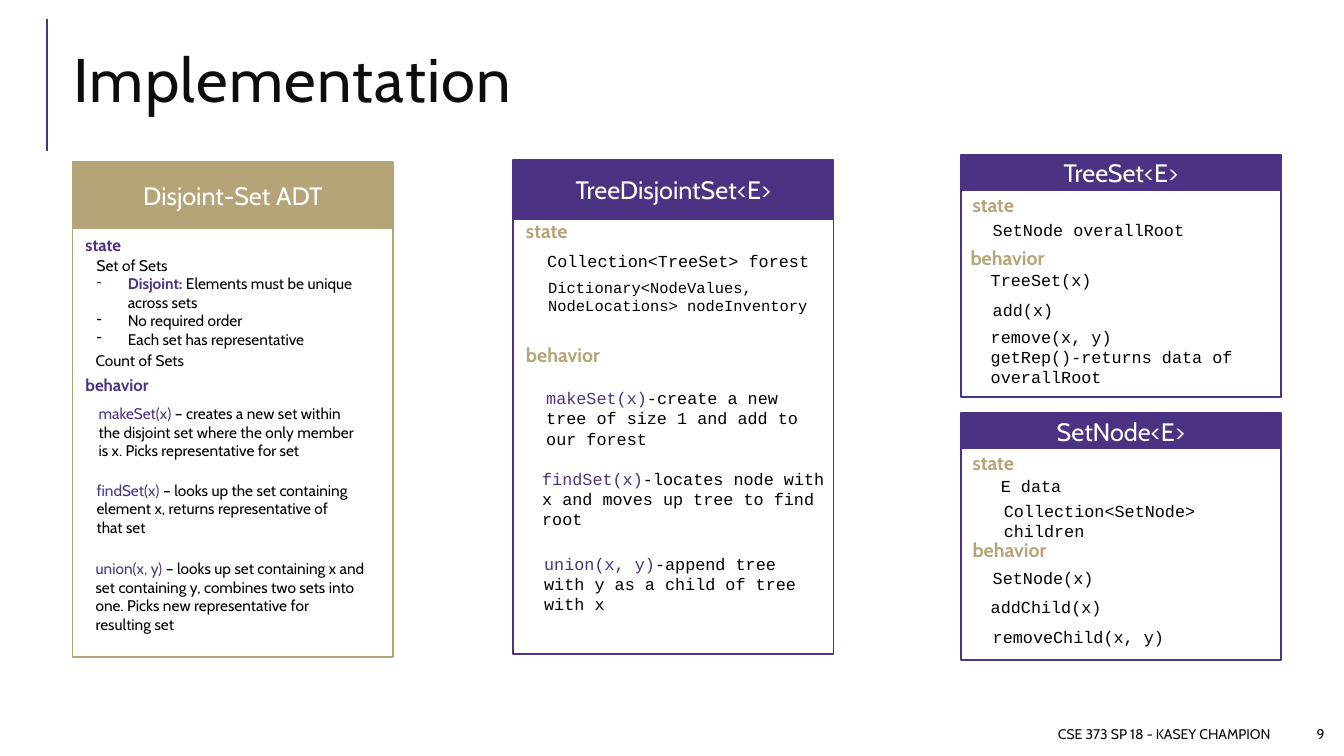
from lxml import etree
from pptx import Presentation
from pptx.dml.color import RGBColor
from pptx.enum.shapes import MSO_CONNECTOR, MSO_SHAPE
from pptx.enum.text import MSO_ANCHOR, MSO_AUTO_SIZE, PP_ALIGN
from pptx.oxml.ns import qn
from pptx.util import Inches, Pt

RECT, LINE = MSO_SHAPE.RECTANGLE, MSO_CONNECTOR.STRAIGHT
MIDDLE, TOP = MSO_ANCHOR.MIDDLE, MSO_ANCHOR.TOP
LEFT, CENTER, RIGHT = PP_ALIGN.LEFT, PP_ALIGN.CENTER, PP_ALIGN.RIGHT
GROW, FIXED = MSO_AUTO_SIZE.SHAPE_TO_FIT_TEXT, MSO_AUTO_SIZE.NONE

PURPLE = RGBColor(0x4C, 0x32, 0x82)
GOLD = RGBColor(0xB6, 0xA4, 0x79)
BLACK = RGBColor(0, 0, 0)
INK = RGBColor(0x0D, 0x0D, 0x0D)
WHITE = RGBColor(0xFF, 0xFF, 0xFF)
SANS, MONO = "Cabin", "Courier New"

# Square grid: ten cells to the inch, 133.33 columns by 75 rows
COLUMNS, ROWS = 133.33, 75
CARD_WIDTH = 31.8
LEFT_CARD, MIDDLE_CARD, RIGHT_CARD = 7.2, 50.9, 95.3


def grid(*cells):
    return [Inches(cell / 10) for cell in cells]


def box_height(lines, size):
    """Rows taken by lines of text plus the box's insets."""
    return 1 + lines * size * 0.17


def add_run(paragraph, text, size, color, font=SANS, bold=False):
    run = paragraph.add_run()
    run.text = text
    run.font.name, run.font.size, run.font.bold = font, Pt(size), bold
    run.font.color.rgb = color
    return run


def add_dash(paragraph):
    properties = paragraph._p.get_or_add_pPr()
    properties.set("marL", str(Inches(0.31)))
    properties.set("indent", str(-Inches(0.31)))
    etree.SubElement(properties, qn("a:buChar")).set("char", "-")


def add_text(shapes, area, paragraphs, size, font=SANS, align=LEFT,
             anchor=TOP, fit=GROW, dashed_from=None):
    """Each paragraph is a list of (text, color, bold) runs."""
    frame = shapes.add_textbox(*grid(*area)).text_frame
    frame.word_wrap, frame.auto_size = True, fit
    frame.vertical_anchor = anchor
    for index, runs in enumerate(paragraphs):
        paragraph = frame.add_paragraph() if index else frame.paragraphs[0]
        paragraph.alignment = align
        if dashed_from is not None and index >= dashed_from:
            add_dash(paragraph)
        for text, color, bold in runs:
            add_run(paragraph, text, size, color, font, bold)
    return frame


def add_panel(shapes, area, color, filled):
    panel = shapes.add_shape(RECT, *grid(*area))
    panel.shadow.inherit = False
    panel.line.color.rgb, panel.line.width = color, Pt(1.25)
    if filled:
        panel.fill.solid()
        panel.fill.fore_color.rgb = color
    else:
        panel.fill.background()
    return panel


def add_card(slide, left, top, header, body, name, color):
    shapes = slide.shapes.add_group_shape().shapes
    add_panel(shapes, (left, top + header, CARD_WIDTH, body), color, False)
    heading = add_panel(shapes, (left, top, CARD_WIDTH, header), color, True)
    heading.text_frame.vertical_anchor = MIDDLE
    paragraph = heading.text_frame.paragraphs[0]
    paragraph.alignment = CENTER
    add_run(paragraph, name, 18, WHITE)
    return shapes


def add_labels(shapes, labels, size, color):
    for left, top, text in labels:
        add_text(shapes, (left, top, 22.3, box_height(1, size)),
                 [[(text, color, True)]], size)


def add_members(shapes, members, size, font):
    """Each member is left, top, width, lines, call, description."""
    for left, top, width, lines, call, description in members:
        runs = [(call, PURPLE, False)] if call else []
        runs.append((description, BLACK, False))
        add_text(shapes, (left, top, width, box_height(lines, size)),
                 [runs], size, font)


def add_frame(slide):
    # Title with its rule, then the footer
    rule = slide.shapes.add_connector(LINE, *grid(4.7, 15, 4.7, 1.9))
    rule.line.color.rgb, rule.line.width = PURPLE, Pt(1.5)
    etree.SubElement(rule._element.spPr, qn("a:effectLst"))
    title = add_text(slide.shapes, (6.3, 2.9, 122.3, 11.1),
                     [[("Implementation", INK, False)]], 44,
                     anchor=MIDDLE, fit=FIXED).paragraphs[0]
    title.line_spacing = 0.8
    title.runs[0].font._element.set("spc", "100")
    for left, width, text in ((62.5, 64.5, "CSE 373 SP 18 - KASEY CHAMPION"),
                              (127.8, 4.6, "9")):
        add_text(slide.shapes, (left, 71.3, width, 3), [[(text, INK, False)]],
                 10, align=RIGHT, anchor=MIDDLE, fit=FIXED)


def add_tree_disjoint_set(slide):
    card = add_card(slide, MIDDLE_CARD, 15.9, 5.8, 43.2,
                    "TreeDisjointSet<E>", PURPLE)
    add_labels(card, [(51.2, 21.2, "state"), (51.2, 33.5, "behavior")], 14, GOLD)
    add_members(card, [
        (53.3, 24.4, 28.5, 1, "", "Collection<TreeSet> forest"),
        (53.2, 38, 27.9, 3, "makeSet(x)",
         "-create a new tree of size 1 and add to our forest"),
        (52.8, 46, 30.5, 3, "findSet(x)",
         "-locates node with x and moves up tree to find root"),
        (53, 54.4, 29.5, 3, "union(x, y)",
         "-append tree with y as a child of tree with x"),
    ], 12, MONO)
    add_members(card, [(53.4, 27.1, 27.8, 2, "",
                        "Dictionary<NodeValues, NodeLocations> nodeInventory")],
                11, MONO)


def add_disjoint_set_adt(slide):
    card = add_card(slide, LEFT_CARD, 16.1, 6.5, 42.6, "Disjoint-Set ADT", GOLD)
    add_labels(card, [(7.5, 22.8, "state"), (7.5, 36.7, "behavior")], 12, PURPLE)
    add_text(card, (8.6, 24.9, 28.9, box_height(5, 11)), [
        [("Set of Sets", BLACK, False)],
        [("Disjoint:", PURPLE, True),
         (" Elements must be unique across sets", BLACK, False)],
        [("No required order", BLACK, False)],
        [("Each set has representative", BLACK, False)],
    ], 11, dashed_from=1)
    add_members(card, [
        (8.5, 34.3, 25.3, 1, "", "Count of Sets"),
        (8.8, 39.6, 28.5, 3, "makeSet(x) ",
         "– creates a new set within the disjoint set where the only member "
         "is x. Picks representative for set"),
        (8.6, 47.2, 27.8, 3, "findSet(x) ",
         "– looks up the set containing element x, returns representative of "
         "that set"),
        (8.5, 55, 28.9, 4, "union(x, y) ",
         "– looks up set containing x and set containing y, combines two sets "
         "into one. Picks new representative for resulting set"),
    ], 11, SANS)


def add_tree_set(slide):
    card = add_card(slide, RIGHT_CARD, 15.4, 3.5, 20.5, "TreeSet<E>", PURPLE)
    add_labels(card, [(95.5, 18.6, "state"), (95.3, 23.9, "behavior")], 14, GOLD)
    add_members(card, [
        (97.5, 21.3, 25.8, 1, "", "SetNode overallRoot"),
        (97.3, 26.3, 27.9, 1, "", "TreeSet(x)"),
        (97.5, 29.2, 30.5, 1, "", "add(x)"),
    ], 12, MONO)
    add_text(card, (97.3, 31.9, 29.5, box_height(3, 12)), [
        [("remove(x, y)", BLACK, False)],
        [("getRep()-returns data of overallRoot", BLACK, False)],
    ], 12, MONO)


def add_set_node(slide):
    card = add_card(slide, RIGHT_CARD, 41, 3.5, 21, "SetNode<E>", PURPLE)
    add_labels(card, [(95.5, 44.2, "state"), (95.5, 52.9, "behavior")], 14, GOLD)
    add_members(card, [
        (98.3, 46.7, 25.8, 1, "", "E data"),
        (98.6, 49.2, 25.8, 2, "", "Collection<SetNode> children"),
        (97.5, 55.8, 27.9, 1, "", "SetNode(x)"),
        (97.3, 58.7, 30.5, 1, "", "addChild(x)"),
        (97.5, 61.7, 29.5, 1, "", "removeChild(x, y)"),
    ], 12, MONO)


def main():
    deck = Presentation()
    deck.slide_width, deck.slide_height = grid(COLUMNS, ROWS)
    slide = deck.slides.add_slide(deck.slide_layouts[6])
    add_frame(slide)
    add_tree_disjoint_set(slide)
    add_disjoint_set_adt(slide)
    add_tree_set(slide)
    add_set_node(slide)
    deck.save("out.pptx")


if __name__ == "__main__":
    main()
